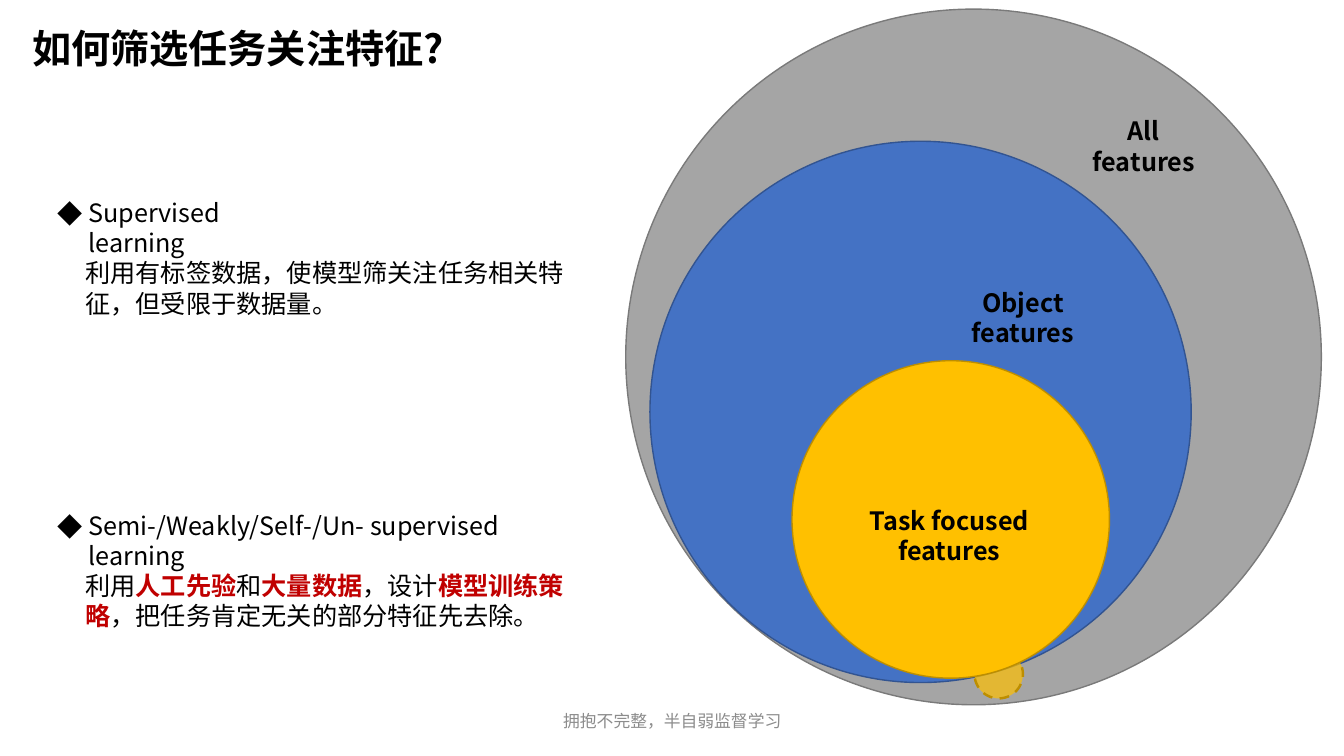
"""Build a slide on selecting task-focused features with nested circles."""
from lxml import etree
from pptx import Presentation
from pptx import util as u
from pptx.dml.color import RGBColor
from pptx.enum import dml, shapes, text
from pptx.oxml import ns

FONT = "Noto Sans CJK SC"
BLACK = RGBColor(0x00, 0x00, 0x00)
RED = RGBColor(0xC0, 0x00, 0x00)
FOOTER_GRAY = RGBColor(0x8C, 0x8C, 0x8C)
GRAY, GRAY_EDGE = RGBColor(0xA5, 0xA5, 0xA5), RGBColor(0x7A, 0x7A, 0x7A)
BLUE, BLUE_EDGE = RGBColor(0x44, 0x72, 0xC4), RGBColor(0x32, 0x54, 0x91)
GOLD, GOLD_EDGE = RGBColor(0xFF, 0xC0, 0x00), RGBColor(0xBD, 0x8E, 0x00)


def add_text(parent, left, top, width, height, runs, size=18, align=text.PP_ALIGN.LEFT):
    """Add a wrapped text box of (words, colour, bold) runs and return it."""
    box = parent.add_textbox(u.Cm(left), u.Cm(top), u.Cm(width), u.Cm(height))
    box.text_frame.word_wrap = True
    para = box.text_frame.paragraphs[0]
    para.alignment = align
    for words, color, bold in runs:
        span = para.add_run()
        span.text = words
        span.font.name = FONT
        span.font.size = u.Pt(size)
        span.font.bold = bold
        span.font.color.rgb = color
        east_asian = etree.SubElement(span.font._element, ns.qn("a:ea"))
        east_asian.set("typeface", FONT)
    return box


def add_circle(parent, left, top, size, fill, edge, weight=1):
    """Add an outlined circle and return it."""
    circle = parent.add_shape(
        shapes.MSO_SHAPE.OVAL, u.Cm(left), u.Cm(top), u.Cm(size), u.Cm(size))
    circle.shadow.inherit = False
    circle.fill.solid()
    circle.fill.fore_color.rgb = fill
    circle.line.color.rgb = edge
    circle.line.width = u.Pt(weight)
    return circle


def add_title(page, left, top, width):
    """Add the slide title."""
    add_text(page.shapes, left, top, width, 1.45,
             [("如何筛选任务关注特征?", BLACK, True)], size=28)


def add_method(page, left, top, heading_width, heading, runs):
    """Add a diamond-bulleted heading with its explanation below."""
    box = add_text(page.shapes, left, top, heading_width, 1.02, [(heading, BLACK, False)])
    properties = box.text_frame.paragraphs[0]._p.get_or_add_pPr()
    properties.set("marL", str(u.Cm(0.79)))
    properties.set("indent", str(u.Cm(-0.79)))
    etree.SubElement(properties, ns.qn("a:buFont")).set("typeface", FONT)
    etree.SubElement(properties, ns.qn("a:buChar")).set("char", "◆")
    add_text(page.shapes, left + 0.71, top + 1.52, 12.57, 1.8, runs)


def add_label(parent, left, top, width, words):
    """Add a bold centred circle label."""
    add_text(parent, left, top, width, 1.02, [(words, BLACK, True)],
             align=text.PP_ALIGN.CENTER)


def add_feature_circles(page, left, top):
    """Add the nested feature circles and the dashed stray circle."""
    add_circle(page.shapes, left, top, 17.53, GRAY, GRAY_EDGE)
    add_label(page.shapes, left + 11.15, top + 2.56, 3.81, "All features")

    objects = page.shapes.add_group_shape().shapes
    add_circle(objects, left + 0.61, top + 3.33, 13.64, BLUE, BLUE_EDGE)
    add_label(objects, left + 7.52, top + 6.88, 4.98, "Object features")

    tasks = page.shapes.add_group_shape().shapes
    stray = add_circle(tasks, left + 8.79, top + 16.15, 1.22, GOLD, GOLD_EDGE, 1.75)
    stray.line.dash_style = dml.MSO_LINE.DASH
    color = stray._element.spPr.find(ns.qn("a:solidFill"))[0]
    etree.SubElement(color, ns.qn("a:alpha")).set("val", "69000")
    add_circle(tasks, left + 4.19, top + 8.86, 8, GOLD, GOLD_EDGE)
    add_label(tasks, left + 4.75, top + 12.37, 6.81, "Task focused features")


def add_footer(page, left, top, width):
    """Add the centred footer."""
    box = add_text(page.shapes, left, top, width, 1.02,
                   [("拥抱不完整，半自弱监督学习", FOOTER_GRAY, False)],
                   size=12, align=text.PP_ALIGN.CENTER)
    box.text_frame.vertical_anchor = text.MSO_ANCHOR.MIDDLE


def main():
    """Build and save the deck."""
    deck = Presentation()
    deck.slide_width, deck.slide_height = u.Cm(33.87), u.Cm(19.05)
    page = deck.slides.add_slide(deck.slide_layouts[6])
    add_title(page, 0.56, 0.48, 10.92)
    add_feature_circles(page, 15.77, 0.23)
    add_method(page, 1.19, 4.85, 6.71, "Supervised learning", [
        ("利用有标签数据，使模型筛关注任务相关特征，但受限于数据量。", BLACK, False),
    ])
    add_method(page, 1.19, 12.73, 13.59, "Semi-/Weakly/Self-/Un- supervised learning", [
        ("利用", BLACK, False),
        ("人工先验", RED, True),
        ("和", BLACK, False),
        ("大量数据", RED, True),
        ("，设计", BLACK, False),
        ("模型训练策略", RED, True),
        ("，把任务肯定无关的部分特征先去除。", BLACK, False),
    ])
    add_footer(page, 11.23, 17.65, 11.43)
    deck.save("out.pptx")


if __name__ == "__main__":
    main()
